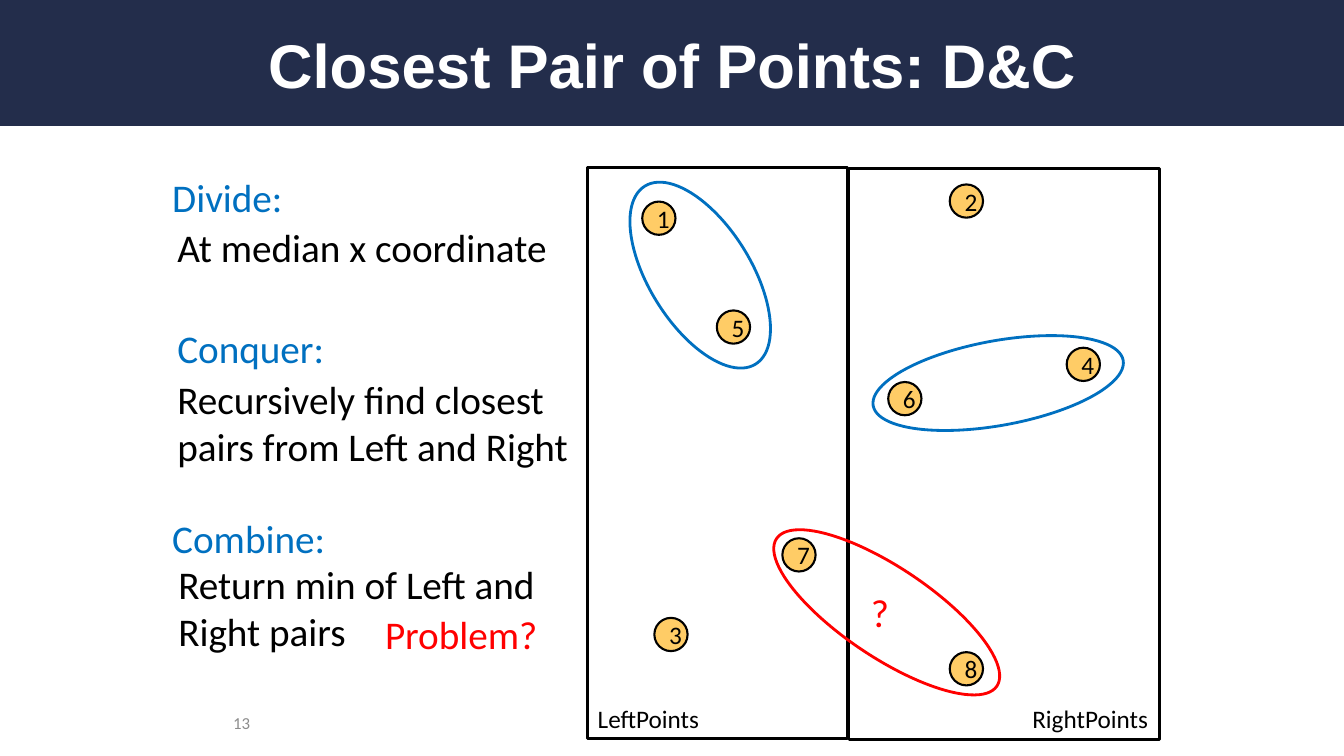
"""Build the closest pair of points slide on divide and conquer."""
from dataclasses import dataclass
from typing import Optional

from pptx import Presentation
from pptx import util as u
from pptx.dml.color import RGBColor
from pptx.enum import shapes, text


@dataclass(frozen=True)
class Theme:
    navy: str = "232D4B"
    white: str = "FFFFFF"
    black: str = "000000"
    blue: str = "0070C0"
    red: str = "FF0000"
    gold: str = "FFCC66"
    gray: str = "8C8C8C"
    heading_font: str = "Arial"
    body_font: str = "Calibri"
    title_size: float = 44
    body_size: float = 28
    label_size: float = 18
    number_size: float = 12
    dot_line: float = 1.5
    outline: float = 2


@dataclass(frozen=True)
class Box:
    x: float
    y: float
    w: float
    h: float


@dataclass(frozen=True)
class Point:
    name: str
    x: float
    y: float


@dataclass(frozen=True)
class Pair:
    box: Box
    rotation: float
    color: str


@dataclass(frozen=True)
class Note:
    words: str
    box: Box
    color: str = Theme.black
    size: float = Theme.body_size
    wrap: bool = True


T = Theme()
DOT = 0.33
ONE_LINE, TWO_LINES = 0.57, 1.04
TEXT_W = 4.22

HALVES = [Box(8.42, 1.67, 3.08, 5.67), Box(5.83, 1.66, 2.58, 5.67)]
POINTS = [
    Point("1", 6.37, 2), Point("2", 9.42, 1.83),
    Point("3", 6.49, 6.13), Point("4", 10.58, 3.45),
    Point("5", 7.11, 3.08), Point("6", 8.81, 3.79),
    Point("7", 7.76, 5.34), Point("8", 9.42, 6.47),
]
PAIRS = [
    Pair(Box(6.44, 1.69, 1.01, 2.08), 328.1, T.blue),
    Pair(Box(9.48, 2.54, 0.84, 2.52), 259.7, T.blue),
    Pair(Box(8.35, 4.76, 0.89, 2.63), 303.8, T.red),
]
NOTES = [
    Note("Divide:", Box(1.61, 1.67, TEXT_W, ONE_LINE), T.blue),
    Note("At median x coordinate", Box(1.66, 2.17, TEXT_W, ONE_LINE)),
    Note("Conquer:", Box(1.66, 3.17, TEXT_W, ONE_LINE), T.blue),
    Note("Recursively find closest pairs from Left and Right",
         Box(1.66, 3.67, TEXT_W, TWO_LINES)),
    Note("Combine:", Box(1.61, 5.05, TEXT_W, ONE_LINE), T.blue),
    Note("Return min of Left and Right pairs",
         Box(1.67, 5.51, TEXT_W, TWO_LINES)),
    Note("Problem?", Box(3.72, 6.01, 1.75, ONE_LINE), T.red),
    Note("?", Box(8.54, 5.79, 0.51, ONE_LINE), T.red),
    Note("LeftPoints", Box(5.83, 6.93, 1.22, 0.4), size=T.label_size, wrap=False),
    Note("RightPoints", Box(10.14, 6.93, 1.36, 0.4), size=T.label_size, wrap=False),
]


def place(box: Box) -> list:
    return [u.Inches(v) for v in (box.x, box.y, box.w, box.h)]


def write(sp, words: str, *, size: float, color: str, font: str = T.body_font,
          bold: bool = False, align=text.PP_ALIGN.LEFT,
          anchor=text.MSO_ANCHOR.TOP, wrap: bool = True) -> None:
    tf = sp.text_frame
    tf.word_wrap = wrap
    tf.auto_size = text.MSO_AUTO_SIZE.NONE
    tf.vertical_anchor = anchor
    p = tf.paragraphs[0]
    p.alignment = align
    r = p.add_run()
    r.text = words
    r.font.size = u.Pt(size)
    r.font.name = font
    r.font.bold = bold
    r.font.color.rgb = RGBColor.from_string(color)


def add_shape(s, kind, box: Box, *, fill: Optional[str] = None,
              line: Optional[str] = None, width: float = T.outline,
              rotation: float = 0):
    sp = s.shapes.add_shape(kind, *place(box))
    sp.shadow.inherit = False
    sp.rotation = rotation
    if fill:
        sp.fill.solid()
        sp.fill.fore_color.rgb = RGBColor.from_string(fill)
    else:
        sp.fill.background()
    if line:
        sp.line.color.rgb = RGBColor.from_string(line)
        sp.line.width = u.Pt(width)
    else:
        sp.line.fill.background()
    return sp


def add_title(s, words: str) -> None:
    band = add_shape(s, shapes.MSO_SHAPE.RECTANGLE, Box(0, 0, 13.33, 1.25), fill=T.navy)
    title = s.shapes.title
    title.element.addprevious(band.element)
    title.left, title.top, title.width, title.height = place(Box(0.67, 0.17, 12, 0.92))
    write(title, words, size=T.title_size, color=T.white, font=T.heading_font,
          bold=True, align=text.PP_ALIGN.CENTER, anchor=text.MSO_ANCHOR.MIDDLE)


def main() -> None:
    prs = Presentation()
    prs.slide_width, prs.slide_height = u.Inches(13.33), u.Inches(7.5)
    s = prs.slides.add_slide(prs.slide_layouts[5])
    add_title(s, "Closest Pair of Points: D&C")

    for half in HALVES:
        add_shape(s, shapes.MSO_SHAPE.RECTANGLE, half, line=T.black)
    for point in POINTS:
        sp = add_shape(s, shapes.MSO_SHAPE.OVAL, Box(point.x, point.y, DOT, DOT),
                       fill=T.gold, line=T.black, width=T.dot_line)
        write(sp, point.name, size=T.label_size, color=T.black,
              align=text.PP_ALIGN.CENTER, anchor=text.MSO_ANCHOR.MIDDLE)
    for pair in PAIRS:
        add_shape(s, shapes.MSO_SHAPE.OVAL, pair.box, line=pair.color,
                  rotation=pair.rotation)
    for note in NOTES:
        sp = s.shapes.add_textbox(*place(note.box))
        write(sp, note.words, size=note.size, color=note.color, wrap=note.wrap)

    number = s.shapes.add_textbox(*place(Box(0.25, 6.97, 2.33, 0.4)))
    write(number, "13", size=T.number_size, color=T.gray,
          align=text.PP_ALIGN.RIGHT, anchor=text.MSO_ANCHOR.MIDDLE)
    prs.save("out.pptx")


if __name__ == "__main__":
    main()
